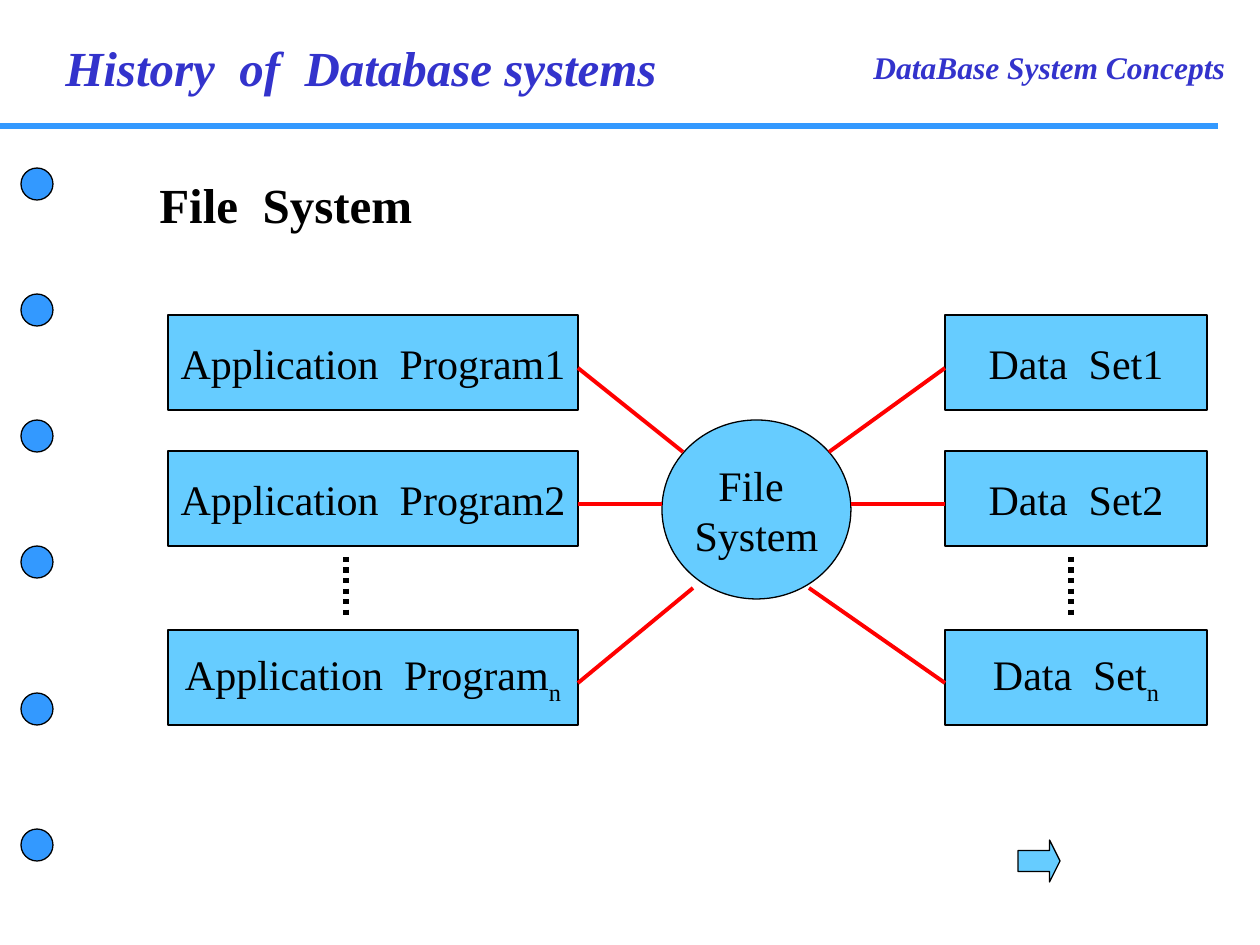
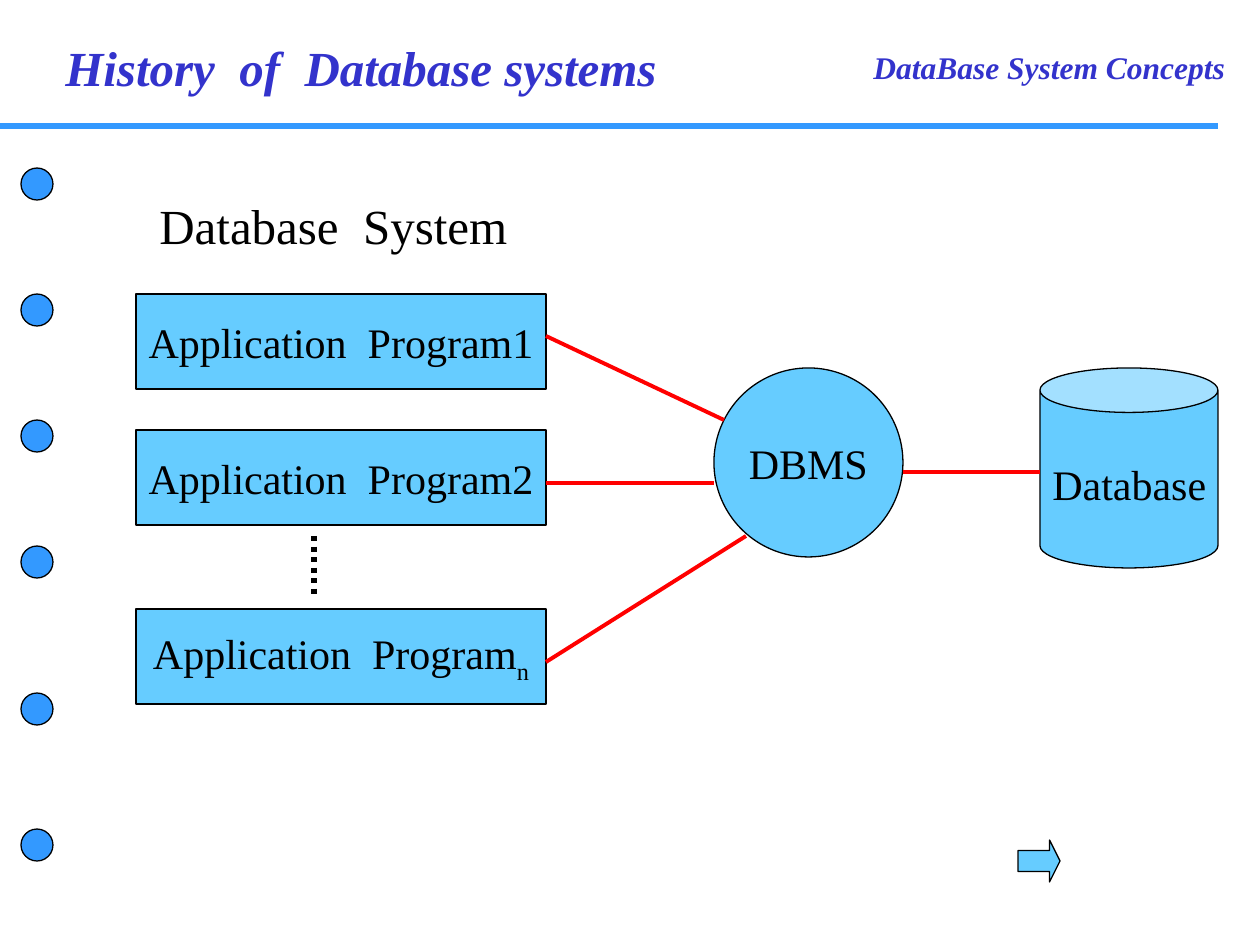
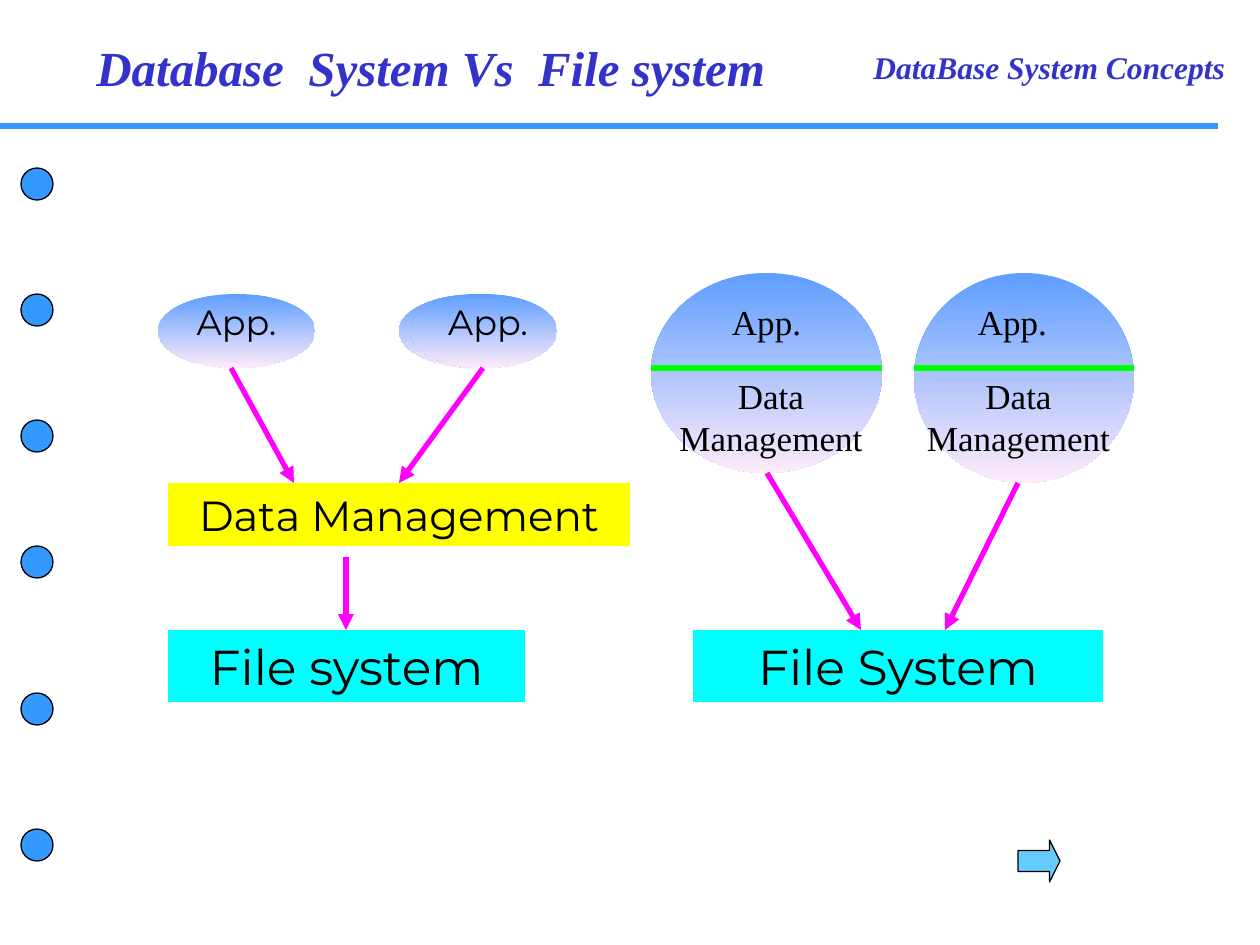
from dataclasses import dataclass

from pptx import Presentation
from pptx.dml.color import RGBColor
from pptx.enum.dml import MSO_LINE
from pptx.enum.shapes import MSO_CONNECTOR, MSO_SHAPE
from pptx.enum.text import MSO_ANCHOR, PP_ALIGN
from pptx.oxml.ns import qn
from pptx.util import Emu, Pt
from lxml.etree import SubElement


@dataclass(frozen=True)
class Theme:
    serif: str = "Times New Roman"
    sans: str = "Montserrat"
    ink: str = "000000"
    head: str = "3333CC"
    band: str = "3399FF"
    box: str = "66CCFF"
    link: str = "FF0000"
    arrow: str = "FF00FF"
    split: str = "00FF00"
    store: str = "00FFFF"
    manage: str = "FFFF00"
    fade: tuple = ("5E9EFF", "FFEBFA")
    large: int = 28
    mid: int = 24
    small: int = 20
    note: int = 18
    thin: float = 0.75
    firm: float = 2.25
    thick: float = 3


T = Theme()
SCALE = 914400 / 126


def px(*sizes):
    return [Emu(round(size * SCALE)) for size in sizes]


def rgb(code):
    return RGBColor.from_string(code)


def write(shape, text, size=T.mid, font=T.serif, color=T.ink, bold=False,
          italic=False, align=PP_ALIGN.CENTER, anchor=MSO_ANCHOR.TOP,
          wrap=True, sub=""):
    frame = shape.text_frame
    frame.word_wrap = wrap
    frame.vertical_anchor = anchor
    frame.text = text
    if sub:
        low = frame.paragraphs[-1].add_run()
        low.text = sub
        low._r.get_or_add_rPr().set("baseline", "-25000")
    for para in frame.paragraphs:
        para.alignment = align
        for run in para.runs:
            run.font.name = font
            run.font.size = Pt(size)
            run.font.bold = bold
            run.font.italic = italic
            run.font.color.rgb = rgb(color)


def label(slide, place, text, **style):
    write(slide.shapes.add_textbox(*px(*place)), text, **style)


def draw(slide, kind, place, fill=T.box, edge=True):
    shape = slide.shapes.add_shape(kind, *px(*place))
    shape.shadow.inherit = False
    if isinstance(fill, tuple):
        shape.fill.gradient()
        shape.fill.gradient_angle = 270
        for stop, code in zip(shape.fill.gradient_stops, fill):
            stop.color.rgb = rgb(code)
    else:
        shape.fill.solid()
        shape.fill.fore_color.rgb = rgb(fill)
    if edge:
        shape.line.color.rgb = rgb(T.ink)
        shape.line.width = Pt(T.thin)
    else:
        shape.line.fill.background()
    return shape


def node(slide, kind, place, text, sub=""):
    write(draw(slide, kind, place), text, sub=sub,
          anchor=MSO_ANCHOR.MIDDLE, wrap=False)


def bar(slide, place, text, fill, size):
    write(draw(slide, MSO_SHAPE.RECTANGLE, place, fill, edge=False), text,
          size=size, font=T.sans)


def blob(slide, *place):
    draw(slide, MSO_SHAPE.OVAL, place, T.fade, edge=False)


def link(slide, ends, color=T.link, width=T.firm, dots=False, tip=False):
    line = slide.shapes.add_connector(MSO_CONNECTOR.STRAIGHT, *px(*ends))
    line.line.color.rgb = rgb(color)
    line.line.width = Pt(width)
    if dots:
        line.line.dash_style = MSO_LINE.ROUND_DOT
    if tip:
        SubElement(line.line._get_or_add_ln(), qn("a:tailEnd"), type="triangle")
    SubElement(line._element.spPr, qn("a:effectLst"))


def links(slide, *paths, **style):
    for ends in paths:
        link(slide, ends, **style)


def stack(slide, left, top, width, word, mid):
    rows = ((0, "1", ""), (136, "2", ""), (315, "", "n"))
    for drop, mark, sub in rows:
        node(slide, MSO_SHAPE.RECTANGLE, (left, top + drop, width, 95),
             word + mark, sub)
    link(slide, (left + mid, top + 242, left + mid, top + 305),
         color=T.ink, width=T.thick, dots=True)


def start(deck, title, left):
    slide = deck.slides.add_slide(deck.slide_layouts[6])
    link(slide, (0, 126, 1218, 126), color=T.band, width=T.thick)
    for top in (168, 294, 420, 546, 693, 829):
        draw(slide, MSO_SHAPE.OVAL, (21, top, 32, 32), T.band)
    look = dict(color=T.head, bold=True, italic=True, align=PP_ALIGN.LEFT)
    label(slide, (861, 42, 399, 50), "DataBase System Concepts",
          size=T.note, **look)
    label(slide, (left, 31, 714, 72), title, size=T.large, **look)
    arrow = draw(slide, MSO_SHAPE.RIGHT_ARROW, (1018, 840, 42, 42))
    arrow.adjustments[0] = 0.5
    arrow.adjustments[1] = 0.25
    return slide


def past(deck, topic, top, bold):
    slide = start(deck, "History  of  Database systems", 53)
    label(slide, (147, top, 714, 72), topic, size=T.large, bold=bold,
          align=PP_ALIGN.LEFT)
    return slide


def files(deck):
    slide = past(deck, "File  System", 168, True)
    stack(slide, 168, 315, 410, "Application  Program", 178)
    stack(slide, 945, 315, 262, "Data  Set", 126)
    node(slide, MSO_SHAPE.OVAL, (662, 420, 189, 179), "File \nSystem")
    links(slide,
          (578, 368, 683, 452), (578, 504, 662, 504), (578, 683, 693, 588),
          (829, 452, 945, 368), (851, 504, 945, 504), (809, 588, 945, 683))


def base(deck):
    slide = past(deck, "Database  System", 189, False)
    node(slide, MSO_SHAPE.OVAL, (714, 368, 189, 189), "DBMS")
    stack(slide, 136, 294, 410, "Application  Program", 178)
    can = draw(slide, MSO_SHAPE.CAN, (1040, 368, 178, 200))
    can.adjustments[0] = 0.25
    label(slide, (1040, 452, 189, 63), "Database", align=PP_ALIGN.LEFT)
    links(slide,
          (546, 336, 724, 420), (546, 483, 714, 483),
          (546, 662, 746, 536), (903, 472, 1040, 472))


def versus(deck):
    slide = start(deck, "Database  System Vs  File system", 84)
    bar(slide, (168, 630, 357, 72), "File system", T.store, T.large)
    bar(slide, (168, 483, 462, 63), "Data Management", T.manage, T.mid)
    bar(slide, (693, 630, 410, 72), "File System", T.store, T.large)
    for left, width in ((158, 157), (399, 157), (410, 147)):
        blob(slide, left, 294, width, 74)
    for left, width in ((158, 157), (420, 136)):
        label(slide, (left, 294, width, 55), "App.", size=T.small, font=T.sans)
    blob(slide, 651, 273, 231, 200)
    blob(slide, 914, 273, 220, 210)
    links(slide,
          (231, 368, 294, 483), (483, 368, 399, 483), (346, 557, 346, 630),
          (767, 473, 861, 630), (1018, 483, 945, 630),
          color=T.arrow, width=T.thick, tip=True)
    links(slide, (651, 368, 882, 368), (914, 368, 1134, 368),
          color=T.split, width=T.thick)
    for left, width in ((651, 231), (892, 241)):
        label(slide, (left, 294, width, 55), "App.", size=T.small)
    for left, width in ((640, 262), (882, 273)):
        label(slide, (left, 368, width, 161), "Data Management", size=T.small)


def main():
    deck = Presentation()
    deck.slide_width, deck.slide_height = px(1260, 945)
    files(deck)
    base(deck)
    versus(deck)
    deck.save("out.pptx")


if __name__ == "__main__":
    main()
